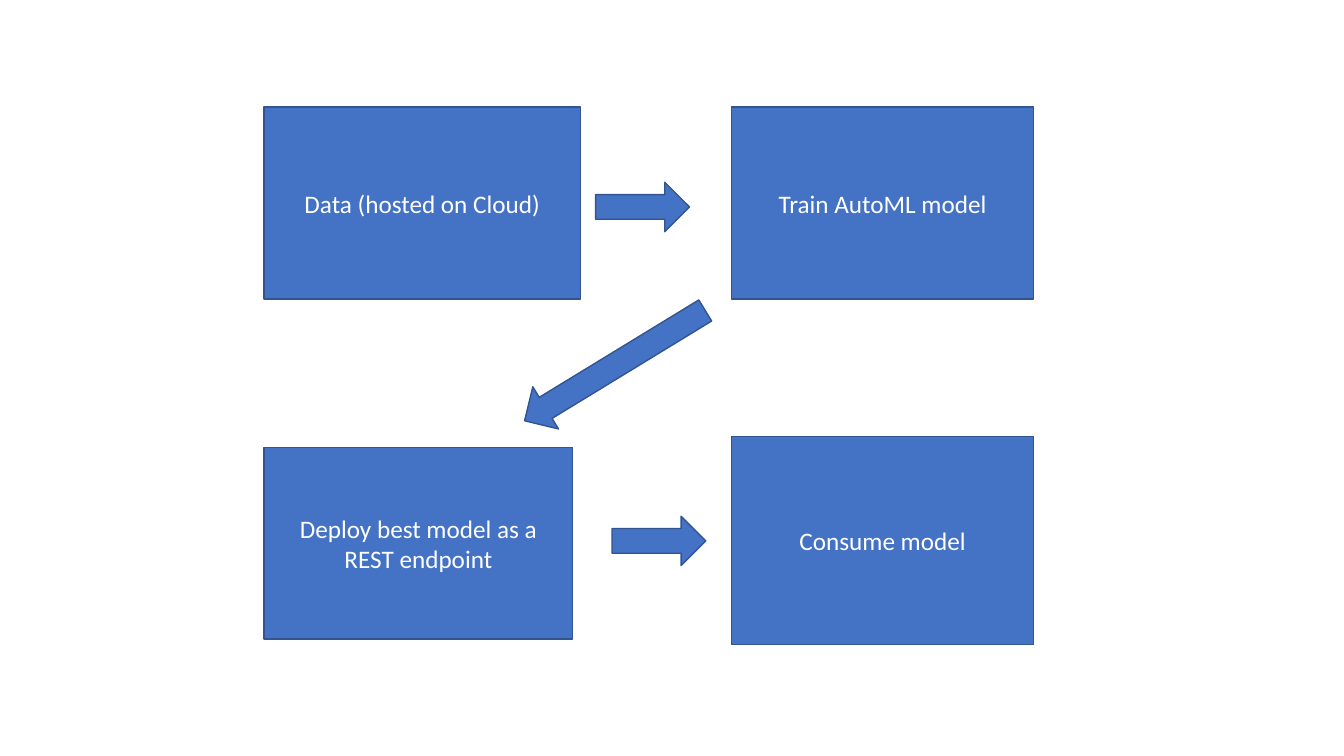
from pptx import Presentation
from pptx.dml.color import RGBColor as RGB
from pptx.enum.shapes import MSO_SHAPE as SHAPE
from pptx.enum.text import MSO_ANCHOR as ANCHOR, PP_ALIGN as ALIGN
from pptx.util import Pt

COLORS = {"fill": "4472C4", "edge": "325491", "text": "FFFFFF"}

deck = Presentation()
deck.slide_width, deck.slide_height = Pt(960), Pt(540)
slide = deck.slides.add_slide(deck.slide_layouts[6])


def add_block(kind, left, top, width, height):
    block = slide.shapes.add_shape(kind, Pt(left), Pt(top), Pt(width), Pt(height))
    block.shadow.inherit = False
    block.fill.solid()
    block.fill.fore_color.rgb = RGB.from_string(COLORS["fill"])
    block.line.color.rgb = RGB.from_string(COLORS["edge"])
    block.line.width = Pt(1)
    return block


# Steps: two columns with shared left edges
COL_1, COL_2 = 188.6, 522.7
steps = [
    ("Data (hosted on Cloud)", COL_1, 76.5, 226, 137),
    ("Train AutoML model", COL_2, 76.5, 215.5, 137),
    ("Deploy best model as a REST endpoint", COL_1, 319.5, 220.5, 137),
    ("Consume model", COL_2, 311.7, 215.5, 148.5),
]
for label, left, top, width, height in steps:
    step = add_block(SHAPE.RECTANGLE, left, top, width, height)
    frame = step.text_frame
    frame.word_wrap = True
    frame.vertical_anchor = ANCHOR.MIDDLE
    frame.text = label
    para = frame.paragraphs[0]
    para.alignment = ALIGN.CENTER
    font = para.runs[0].font
    font.name, font.size = "Calibri", Pt(18)
    font.color.rgb = RGB.from_string(COLORS["text"])

# Arrows from step to step: left, top, length, turn
arrows = [
    (425.5, 130.2, 67, 0),
    (363.6, 243.5, 151.2, 148.6),
    (437.2, 368.7, 67, 0),
]
for left, top, length, turn in arrows:
    arrow = add_block(SHAPE.RIGHT_ARROW, left, top, length, 35.3)
    arrow.rotation = turn

deck.save("out.pptx")
